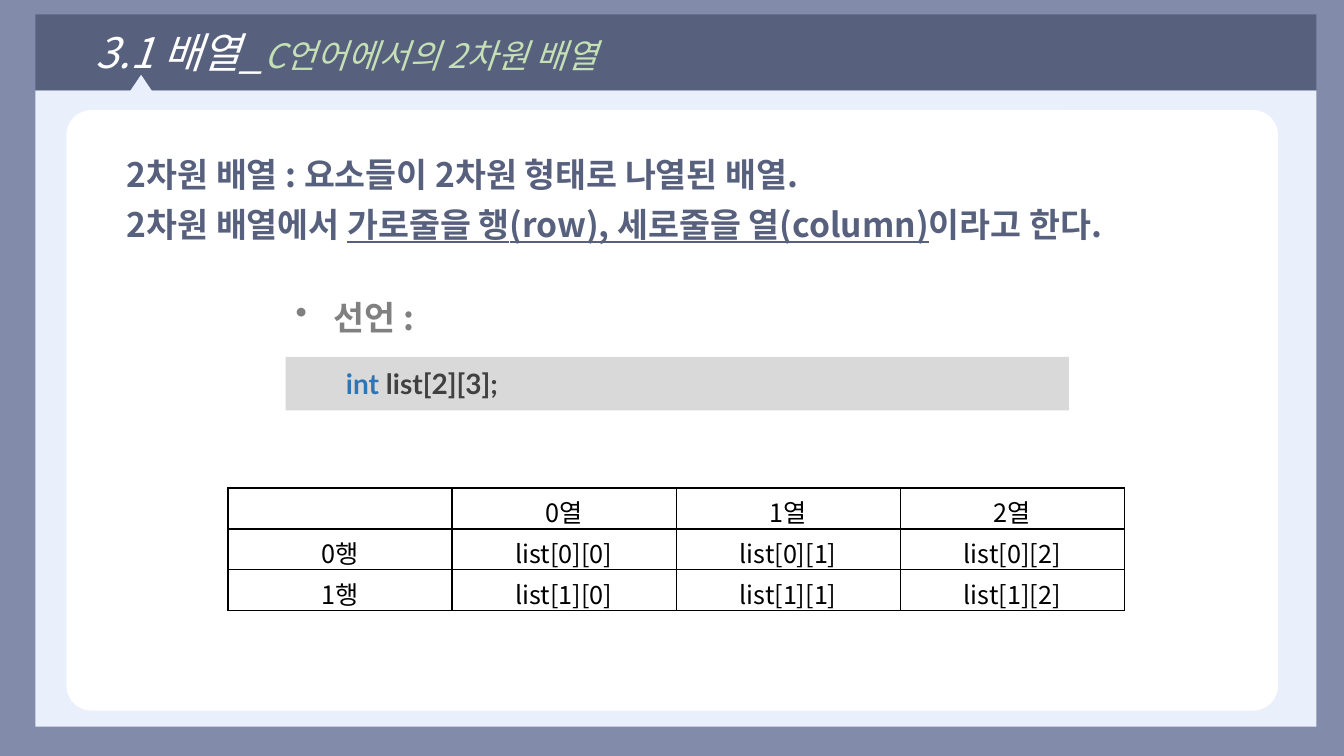
from lxml import etree
from pptx import Presentation
from pptx.dml.color import RGBColor
from pptx.enum.shapes import MSO_SHAPE
from pptx.enum.text import MSO_ANCHOR, MSO_AUTO_SIZE, PP_ALIGN
from pptx.oxml.ns import qn
from pptx.util import Inches, Pt

RECTANGLE = MSO_SHAPE.RECTANGLE
ROUNDED = MSO_SHAPE.ROUNDED_RECTANGLE
TRIANGLE = MSO_SHAPE.ISOSCELES_TRIANGLE
MIDDLE = MSO_ANCHOR.MIDDLE
FIT_TEXT = MSO_AUTO_SIZE.SHAPE_TO_FIT_TEXT
LEFT = PP_ALIGN.LEFT
CENTER = PP_ALIGN.CENTER

BACKDROP = RGBColor(0x82, 0x8B, 0xAA)
PANEL = RGBColor(0xE9, 0xEF, 0xFB)
WHITE = RGBColor(0xFF, 0xFF, 0xFF)
BLACK = RGBColor(0x00, 0x00, 0x00)
SLATE = RGBColor(0x57, 0x60, 0x7D)
PALE_GREEN = RGBColor(0xC5, 0xE0, 0xB4)
CODE_FILL = RGBColor(0xD9, 0xD9, 0xD9)
CODE_TEXT = RGBColor(0x40, 0x40, 0x40)
KEYWORD = RGBColor(0x2E, 0x75, 0xB6)
GRAY = RGBColor(0x80, 0x80, 0x80)

KOREAN = "Noto Sans CJK KR"
CODE = "Lato"
COLUMNS, ROWS = 160, 90


class Lesson:
    def __init__(self, deck):
        self.column = deck.slide_width / COLUMNS
        self.row = deck.slide_height / ROWS
        self.page = deck.slides.add_slide(deck.slide_layouts[6])
        self.page.background.fill.solid()
        self.page.background.fill.fore_color.rgb = BACKDROP

    def place(self, left, top, width, height):
        return (round(left * self.column), round(top * self.row),
                round(width * self.column), round(height * self.row))

    def shape(self, kind, area, fill):
        shape = self.page.shapes.add_shape(kind, *self.place(*area))
        shape.shadow.inherit = False
        shape.fill.solid()
        shape.fill.fore_color.rgb = fill
        shape.line.fill.background()
        shape.text_frame.vertical_anchor = MIDDLE
        return shape

    def text_box(self, area, wrap=True):
        box = self.page.shapes.add_textbox(*self.place(*area))
        box.text_frame.word_wrap = wrap
        box.text_frame.auto_size = FIT_TEXT
        return box

    def add_spans(self, para, spans, font=KOREAN, align=LEFT, indent=0.5):
        para.alignment = align
        if indent:
            para.level = 1
            para._p.get_or_add_pPr().set("marL", str(Inches(indent)))
        for text, size, color, style in spans:
            span = para.add_run()
            span.text = text
            span.font.name = font
            span.font.size = Pt(size)
            span.font.color.rgb = color
            span.font.bold = "b" in style
            span.font.italic = "i" in style
            span.font.underline = "u" in style
            east_asian = etree.Element(qn("a:ea"), typeface=font)
            span.font._element.find(qn("a:latin")).addnext(east_asian)

    def bullet(self, para, spans, hang):
        settings = para._p.get_or_add_pPr()
        settings.set("marL", str(Inches(hang)))
        settings.set("indent", str(-Inches(hang)))
        etree.SubElement(settings, qn("a:buChar"), char="•")
        self.add_spans(para, spans, indent=0)

    def border(self, cell):
        settings = cell._tc.get_or_add_tcPr()
        for index, side in enumerate(("lnL", "lnR", "lnT", "lnB")):
            line = etree.Element(qn(f"a:{side}"), w=str(Pt(1)))
            fill = etree.SubElement(line, qn("a:solidFill"))
            etree.SubElement(fill, qn("a:srgbClr"), val=str(BLACK))
            settings.insert(index, line)

    def table(self, area, entries, size):
        frame = self.page.shapes.add_table(
            len(entries), len(entries[0]), *self.place(*area))
        table = frame.table
        table.first_row = False
        table.horz_banding = False
        for row, texts in enumerate(entries):
            for column, text in enumerate(texts):
                cell = table.cell(row, column)
                cell.margin_bottom = 0
                cell.fill.background()
                self.border(cell)
                para = cell.text_frame.paragraphs[0]
                if text:
                    self.add_spans(para, [(text, size, BLACK, "")],
                                   align=CENTER, indent=0)
                else:
                    para.font.size = Pt(size)


def main():
    deck = Presentation()
    deck.slide_width = Inches(13.33)
    deck.slide_height = Inches(7.5)
    lesson = Lesson(deck)

    lesson.shape(RECTANGLE, (4.2, 10.8, 152.5, 75.7), PANEL)
    card = lesson.shape(ROUNDED, (7.9, 13.1, 144.25, 71.5), WHITE)
    card.adjustments[0] = 0.042

    definition = lesson.text_box((7.9, 16.55, 144.25, 14.9)).text_frame
    lines = [
        [("2차원 배열 : 요소들이 2차원 형태로 나열된 배열.", "b")],
        [("2차원 배열에서 ", "b"),
         ("가로줄을 행(row), 세로줄을 열(column)", "bu"),
         ("이라고 한다.", "b")],
    ]
    paras = [definition.paragraphs[0], definition.add_paragraph()]
    for para, line in zip(paras, lines):
        para.line_spacing = 1.24
        lesson.add_spans(
            para, [(text, 24, SLATE, style) for text, style in line])

    title = lesson.shape(RECTANGLE, (4.2, 1.7, 152.5, 9), SLATE)
    lesson.add_spans(title.text_frame.paragraphs[0],
                     [("3.1 배열_", 30, WHITE, "i"),
                      ("C언어에서의 2차원 배열", 24, PALE_GREEN, "i")])

    header = ["", *(f"{column}열" for column in range(3))]
    body = [[f"{row}행", *(f"list[{row}][{column}]" for column in range(3))]
            for row in range(2)]
    lesson.table((27.15, 58.1, 106.7, 14.6), [header, *body], 18)

    lesson.shape(TRIANGLE, (15.35, 8.9, 2.9, 2.15), PANEL)

    code = lesson.shape(RECTANGLE, (34, 42.5, 93.25, 6.35), CODE_FILL)
    lesson.add_spans(code.text_frame.paragraphs[0],
                     [("int ", 20, KEYWORD, "b"),
                      ("list[2][3];", 20, CODE_TEXT, "b")], font=CODE)

    label = lesson.text_box((34, 34.7, 15.6, 6), wrap=False)
    lesson.bullet(label.text_frame.paragraphs[0],
                  [("선언 :", 24, GRAY, "b")], 0.38)

    deck.save("out.pptx")


if __name__ == "__main__":
    main()
